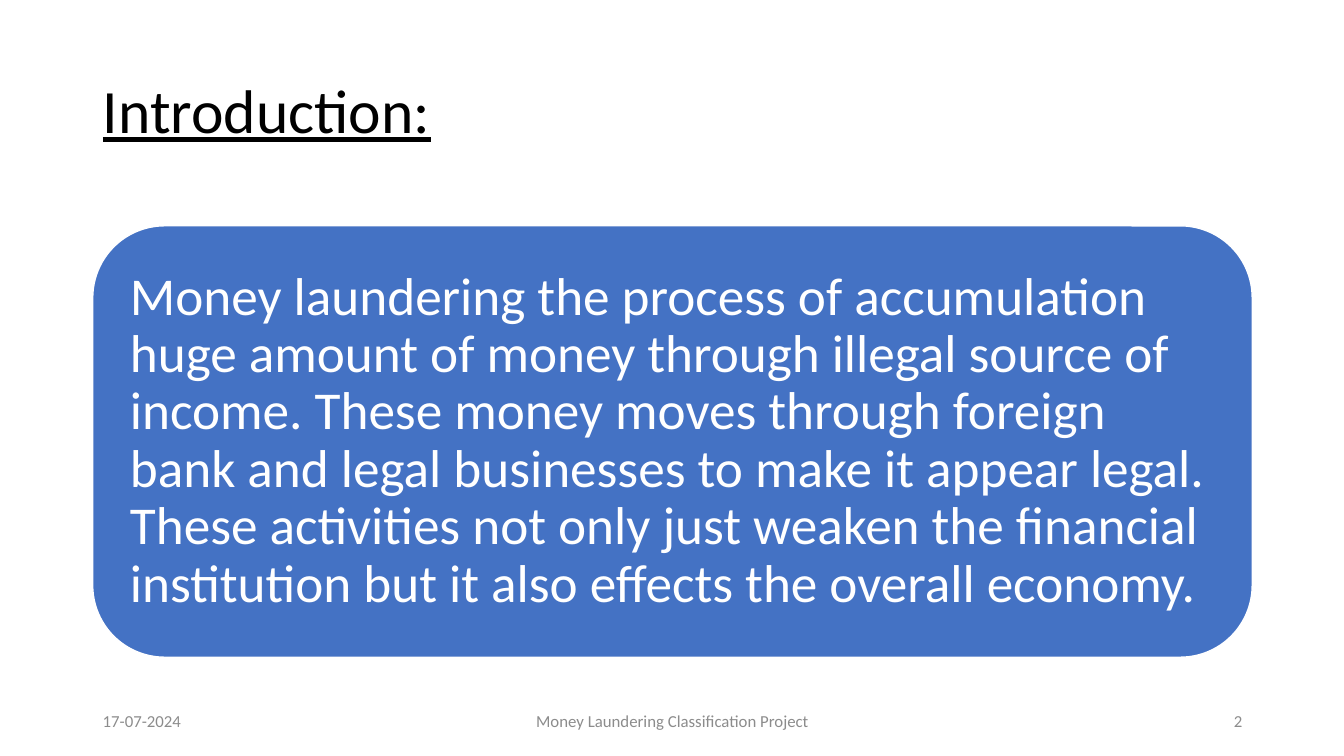
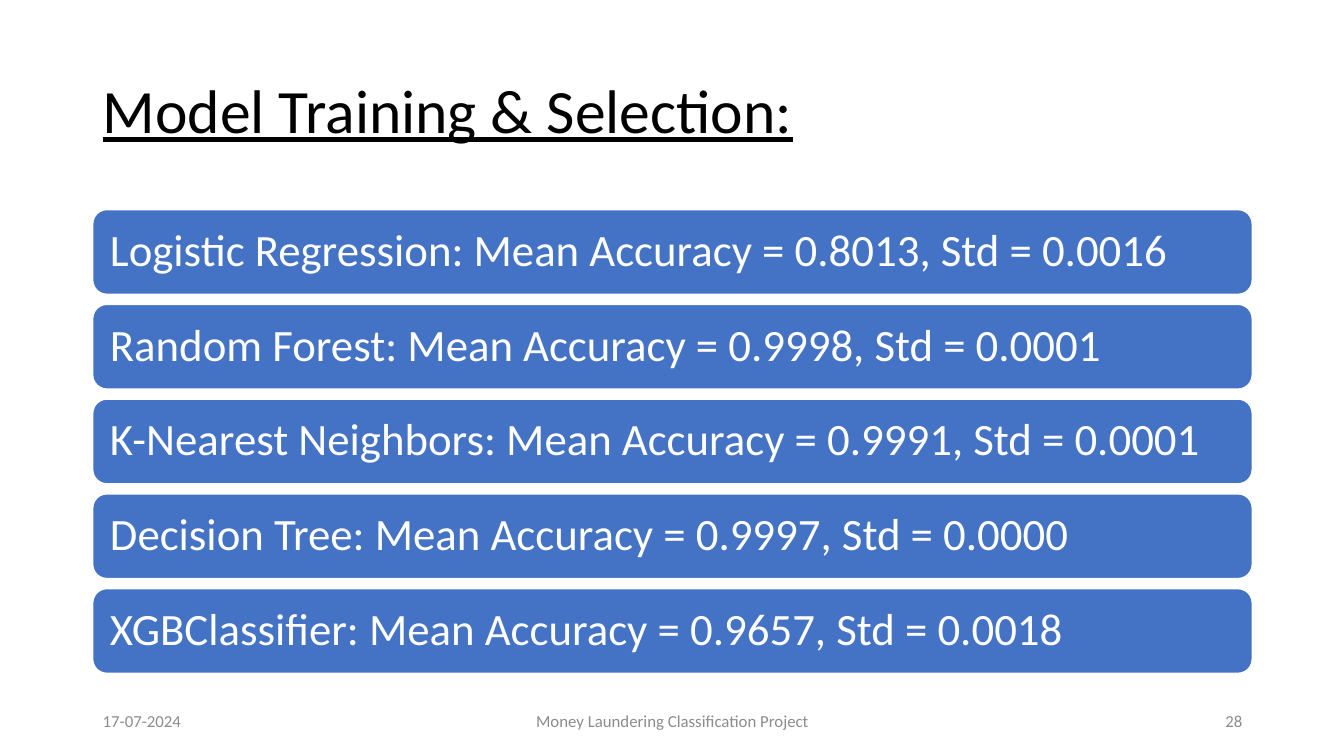
from pptx import Presentation
from pptx.dml.color import RGBColor
from pptx.enum.shapes import MSO_SHAPE
from pptx.enum.text import MSO_ANCHOR, PP_ALIGN
from pptx.util import Inches, Pt

ROUNDED = MSO_SHAPE.ROUNDED_RECTANGLE
MIDDLE = MSO_ANCHOR.MIDDLE
LEFT, CENTER, RIGHT = PP_ALIGN.LEFT, PP_ALIGN.CENTER, PP_ALIGN.RIGHT

# Shared style
FONT = "Calibri"
BLUE, WHITE, BLACK, GRAY = "4472C4", "FFFFFF", "000000", "8C8C8C"
MARGIN, CONTENT_WIDTH = 0.92, 11.5
BOX_GAP = 0.1
FOOTER_TOP, FOOTER_HEIGHT = 6.95, 0.4

# Title, page number, box top, box height, text inset, text size, box texts
SLIDES = [
    ("Introduction:", "2", 2.24, 4.28, 0.16, 38, [
        "Money laundering the process of accumulation huge amount of money "
        "through illegal source of income. These money moves through foreign "
        "bank and legal businesses to make it appear legal. These activities "
        "not only just weaken the financial institution but it also effects "
        "the overall economy.",
    ]),
    ("Model Training & Selection:", "28", 2.08, 0.84, 0.13, 32, [
        "Logistic Regression: Mean Accuracy = 0.8013, Std = 0.0016",
        "Random Forest: Mean Accuracy = 0.9998, Std = 0.0001",
        "K-Nearest Neighbors: Mean Accuracy = 0.9991, Std = 0.0001",
        "Decision Tree: Mean Accuracy = 0.9997, Std = 0.0000",
        "XGBClassifier: Mean Accuracy = 0.9657, Std = 0.0018",
    ]),
]


def rgb(value):
    return RGBColor.from_string(value)


def set_text(shape, text, size, color, align=LEFT, spacing=1.0):
    frame = shape.text_frame
    frame.text = text
    frame.word_wrap = True
    frame.vertical_anchor = MIDDLE
    paragraph = frame.paragraphs[0]
    paragraph.alignment = align
    paragraph.line_spacing = spacing
    font = paragraph.runs[0].font
    font.name, font.size = FONT, Pt(size)
    font.color.rgb = rgb(color)
    return font


presentation = Presentation()
presentation.slide_width = Inches(13.33)
presentation.slide_height = Inches(7.5)
title_only = presentation.slide_layouts[5]

for title_text, number, box_top, box_height, inset, size, texts in SLIDES:
    slide = presentation.slides.add_slide(title_only)

    # Title
    title = slide.shapes.title
    title.left, title.top = Inches(MARGIN), Inches(0.4)
    title.width, title.height = Inches(CONTENT_WIDTH), Inches(1.45)
    set_text(title, title_text, 44, BLACK, spacing=0.9).underline = True

    # Rounded text boxes, stacked at equal gaps
    for index, text in enumerate(texts):
        top = box_top + index * (box_height + BOX_GAP)
        box = slide.shapes.add_shape(
            ROUNDED, Inches(MARGIN), Inches(top),
            Inches(CONTENT_WIDTH), Inches(box_height))
        box.shadow.inherit = False
        box.fill.solid()
        box.fill.fore_color.rgb = rgb(BLUE)
        box.line.color.rgb = rgb(WHITE)
        box.line.width = Pt(1)
        set_text(box, text, size, WHITE, spacing=0.9)
        frame = box.text_frame
        frame.margin_left = frame.margin_right = Inches(inset)
        frame.margin_top = frame.margin_bottom = Inches(inset)

    # Footer: date, project, page number
    for left, width, text, align in [
        (MARGIN, 3, "17-07-2024", LEFT),
        (4.42, 4.5, "Money Laundering Classification Project", CENTER),
        (9.42, 3, number, RIGHT),
    ]:
        footer = slide.shapes.add_textbox(
            Inches(left), Inches(FOOTER_TOP),
            Inches(width), Inches(FOOTER_HEIGHT))
        set_text(footer, text, 12, GRAY, align)

presentation.save("out.pptx")
